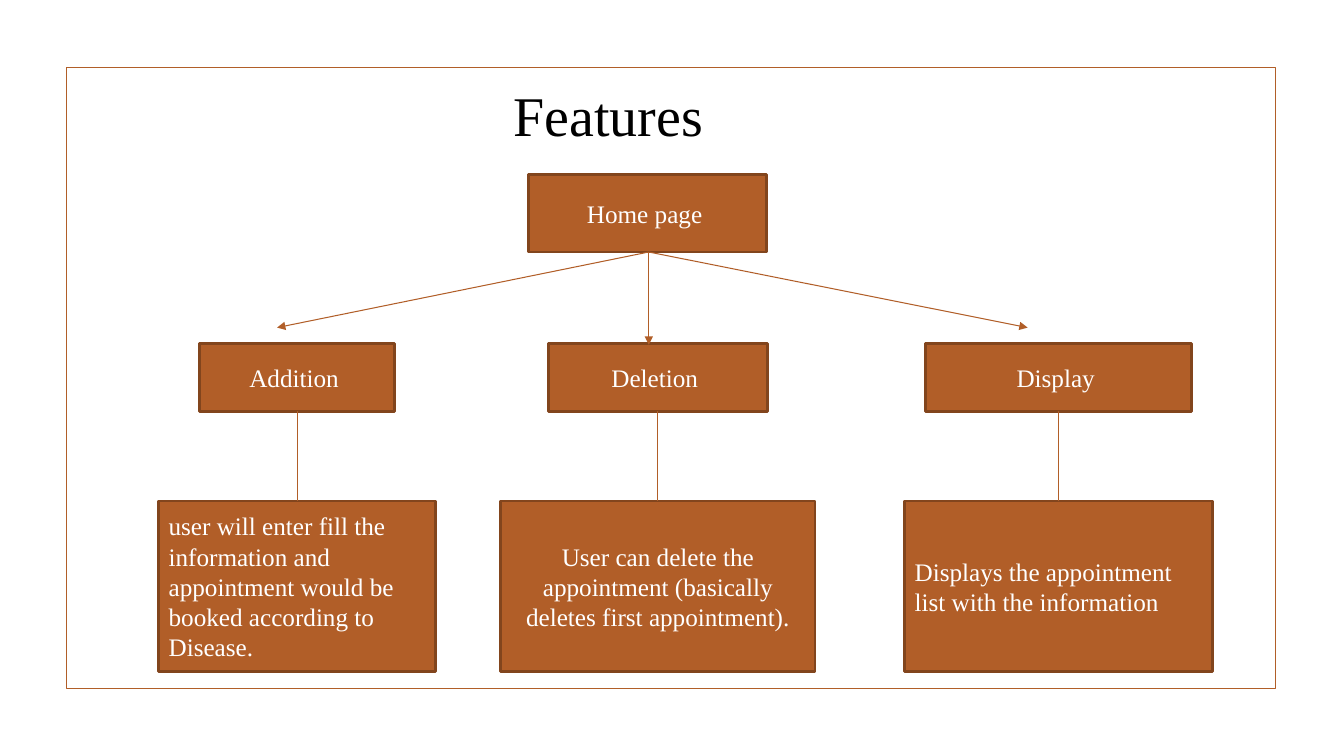
from dataclasses import dataclass

from lxml import etree
from pptx import Presentation
from pptx import util as u
from pptx.dml.color import RGBColor
from pptx.enum import shapes, text
from pptx.oxml import ns

RUST = RGBColor(0xB1, 0x5E, 0x28)
DARK_RUST = RGBColor(0x82, 0x45, 0x1D)
BLACK = RGBColor(0, 0, 0)
WHITE = RGBColor(255, 255, 255)
FONT = "Times New Roman"
LEFT, CENTER = text.PP_ALIGN.LEFT, text.PP_ALIGN.CENTER

# The slide is a grid of square cells, ten to the inch.
CELL = u.Inches(0.1)
COLUMNS, ROWS = 133.4, 75

HOME_CENTER, HOME_WIDTH, HOME_TOP, HOME_HEIGHT = 64.3, 23.6, 17.3, 7.7
LABEL_TOP, LABEL_HEIGHT = 34.1, 6.7
DETAIL_TOP, DETAIL_HEIGHT = 49.7, 16.9
ARROW_START = 64.4


@dataclass
class Feature:
    center: float
    label: str
    label_width: float
    detail: str
    detail_width: float
    detail_align: text.PP_ALIGN
    arrow_tip: tuple


FEATURES = [
    Feature(29.5, "Addition ", 19.4,
            "user will enter fill the information and appointment would be "
            "booked according to Disease.", 27.5, LEFT, (27.5, 32.5)),
    Feature(65.3, "Deletion ", 21.7,
            "User can delete the appointment (basically deletes first "
            "appointment).", 31.2, CENTER, (64.4, 34.2)),
    Feature(105.1, "Display ", 26.4,
            "Displays the appointment list with the information",
            30.6, LEFT, (102, 32.5)),
]


def grid(*cells):
    return [u.Emu(round(count * CELL)) for count in cells]


def write(shape, words, size, color, align):
    shape.text_frame.word_wrap = True
    para = shape.text_frame.paragraphs[0]
    para.text = words
    para.alignment = align
    para.font.name = FONT
    para.font.size = u.Pt(size)
    para.font.color.rgb = color


def add_rectangle(page, left, top, width, height, line_color, line_width):
    box = page.shapes.add_shape(shapes.MSO_SHAPE.RECTANGLE,
                                *grid(left, top, width, height))
    box.shadow.inherit = False
    box.fill.background()
    box.line.color.rgb = line_color
    box.line.width = u.Pt(line_width)
    return box


def add_node(page, center, top, width, height, words, align=CENTER):
    """Add a filled box centred on a column, with its text in the middle."""
    box = add_rectangle(page, center - width / 2, top, width, height, DARK_RUST, 2)
    box.fill.solid()
    box.fill.fore_color.rgb = RUST
    box.text_frame.vertical_anchor = text.MSO_ANCHOR.MIDDLE
    write(box, words, 18, WHITE, align)


def add_link(page, start, end, arrow=False):
    link = page.shapes.add_connector(shapes.MSO_CONNECTOR.STRAIGHT,
                                     *grid(*start, *end))
    link.line.color.rgb = RUST
    link.line.width = u.Pt(0.75)
    if arrow:
        etree.SubElement(link.line._get_or_add_ln(), ns.qn("a:tailEnd"),
                         type="triangle")
    etree.SubElement(link._element.spPr, ns.qn("a:effectLst"))


def add_title(page, words):
    title = page.shapes.add_textbox(*grid(50, 7.5, 28.6, 7.7))
    write(title, words, 40, BLACK, LEFT)


def add_feature(page, feature):
    add_node(page, feature.center, LABEL_TOP, feature.label_width,
             LABEL_HEIGHT, feature.label)
    add_node(page, feature.center, DETAIL_TOP, feature.detail_width,
             DETAIL_HEIGHT, feature.detail, feature.detail_align)
    add_link(page, (ARROW_START, HOME_TOP + HOME_HEIGHT), feature.arrow_tip,
             arrow=True)
    add_link(page, (feature.center, LABEL_TOP + LABEL_HEIGHT),
             (feature.center, DETAIL_TOP))


def main():
    deck = Presentation()
    deck.slide_width, deck.slide_height = grid(COLUMNS, ROWS)
    page = deck.slides.add_slide(deck.slide_layouts[6])

    add_rectangle(page, 6.6, 6.7, 120, 61.6, RUST, 1.25)
    add_title(page, "Features")
    add_node(page, HOME_CENTER, HOME_TOP, HOME_WIDTH, HOME_HEIGHT, "Home page ")
    for feature in FEATURES:
        add_feature(page, feature)

    deck.save("out.pptx")


if __name__ == "__main__":
    main()
